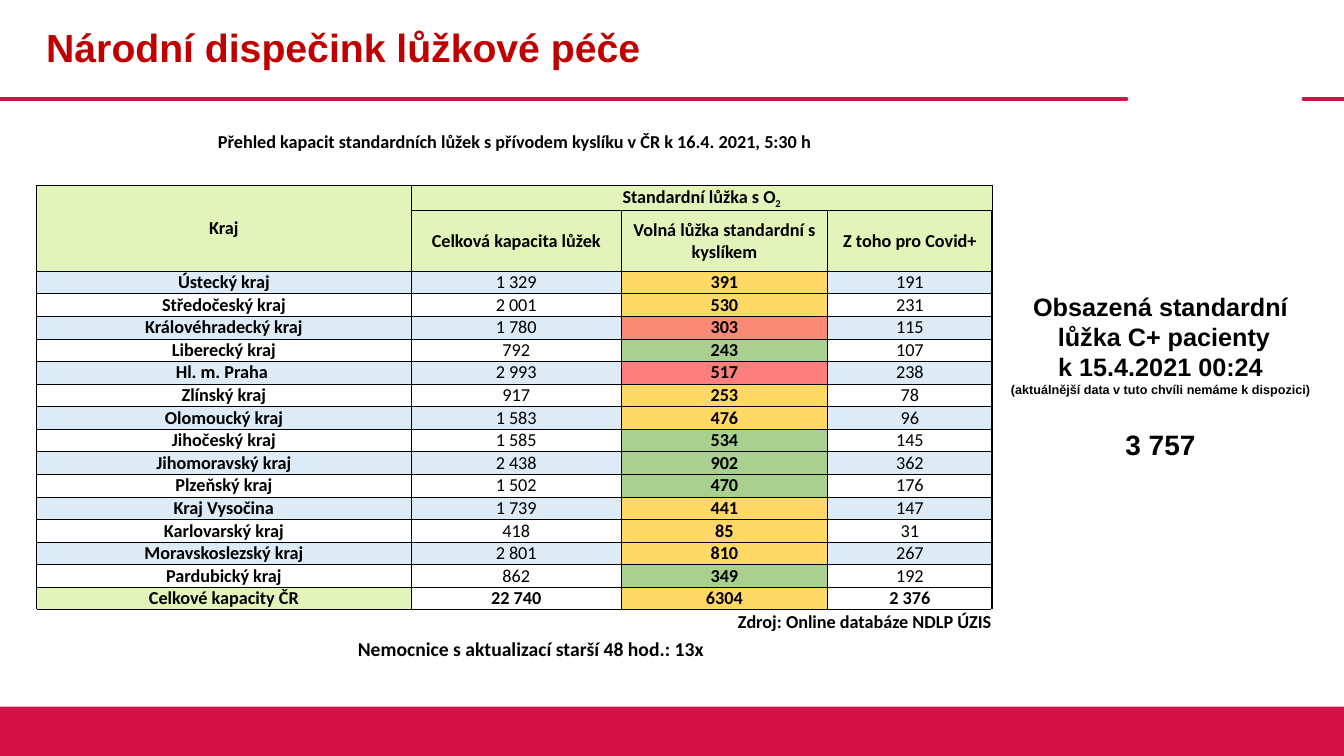
import dataclasses

import lxml.etree
import pptx
import pptx.dml.color
import pptx.enum.shapes
import pptx.enum.text
import pptx.oxml.ns
import pptx.util

Inches = pptx.util.Inches
Pt = pptx.util.Pt
qn = pptx.oxml.ns.qn
Align = pptx.enum.text.PP_ALIGN
Anchor = pptx.enum.text.MSO_ANCHOR


@dataclasses.dataclass(frozen=True)
class Theme:
    brand: str = "D31145"
    title: str = "C00000"
    ink: str = "000000"
    header: str = "E2F4BA"
    band: str = "DDEBF7"
    plain: str = "FFFFFF"
    yellow: str = "FFD966"
    green: str = "A9D08E"
    salmon: str = "FA8976"
    red: str = "FE7E7E"
    heading_font: str = "Arial"
    table_font: str = "Calibri"
    title_size: int = 28
    total_size: int = 20
    side_size: int = 18
    note_size: int = 14
    table_size: int = 13
    small_size: int = 9


theme = Theme()


def write(para, text, size=theme.table_size, font=theme.table_font, color=theme.ink,
          bold=True, align=Align.CENTER, subscript=False):
    para.alignment = align
    span = para.add_run()
    span.text = text
    span.font.size = Pt(size)
    span.font.name = font
    span.font.bold = bold
    span.font.color.rgb = pptx.dml.color.RGBColor.from_string(color)
    if subscript:
        span._r.get_or_add_rPr().set("baseline", "-25000")


def add_grid(left, top, widths, heights):
    grid = page.shapes.add_table(len(heights), len(widths), Inches(left), Inches(top),
                                 Inches(sum(widths)), Inches(sum(heights))).table
    grid.first_row = False
    grid.horz_banding = False
    for column, width in zip(grid.columns, widths):
        column.width = Inches(width)
    for row, height in zip(grid.rows, heights):
        row.height = Inches(height)
    for cell in grid.iter_cells():
        cell.margin_left = cell.margin_right = Inches(0.01)
        cell.margin_top = cell.margin_bottom = 0
        cell.vertical_anchor = Anchor.MIDDLE
    return grid


deck = pptx.Presentation()
deck.slide_width = Inches(13.33)
deck.slide_height = Inches(7.5)
page = deck.slides.add_slide(deck.slide_layouts[6])
brand_color = pptx.dml.color.RGBColor.from_string(theme.brand)

# Rule under the title, in two parts
for start, end in ((0, 11.17), (12.93, 13.33)):
    rule = page.shapes.add_connector(
        pptx.enum.shapes.MSO_CONNECTOR.STRAIGHT,
        Inches(start), Inches(0.98), Inches(end), Inches(0.98))
    rule.line.color.rgb = brand_color
    rule.line.width = Pt(3)
    properties = rule._element.spPr
    properties.find(qn("a:ln")).set("cap", "rnd")
    lxml.etree.SubElement(properties, qn("a:effectLst"))

# Footer band
footer = page.shapes.add_shape(
    pptx.enum.shapes.MSO_SHAPE.RECTANGLE, 0, Inches(7.01), Inches(13.33), Inches(0.49))
footer.shadow.inherit = False
footer.fill.solid()
footer.fill.fore_color.rgb = brand_color
footer.line.fill.background()

# Title
title = page.shapes.add_textbox(Inches(0.36), 0, Inches(10.81), Inches(0.98)).text_frame
title.word_wrap = True
title.vertical_anchor = Anchor.MIDDLE
title.paragraphs[0].line_spacing = 0.9
write(title.paragraphs[0], "Národní dispečink lůžkové péče", size=theme.title_size,
      font=theme.heading_font, color=theme.title, align=Align.LEFT)

# Blank table strip above the capacities
strip = add_grid(0.36, 1.11, [4.56, 1.36, 1.35, 1.1, 1.34], [0.28])
for cell in strip.iter_cells():
    cell.fill.background()
    lxml.etree.SubElement(cell.text_frame.paragraphs[0]._p, qn("a:endParaRPr"),
                          sz=str(theme.table_size * 100))

# Occupied beds on the right
occupied = page.shapes.add_textbox(
    Inches(9.77), Inches(2.84), Inches(3.48), Inches(1.8)).text_frame
occupied.word_wrap = True
occupied_lines = [
    ("Obsazená standardní", theme.side_size),
    (" lůžka C+ pacienty", theme.side_size),
    ("k 15.4.2021 00:24", theme.side_size),
    ("(aktuálnější data v tuto chvíli nemáme k dispozici)", theme.small_size),
    ("3 757", theme.total_size),
]
for index, (text, size) in enumerate(occupied_lines):
    para = occupied.add_paragraph() if index else occupied.paragraphs[0]
    write(para, text, size=size, font=theme.heading_font)
occupied.paragraphs[-1].space_before = Pt(22)

# Note below the table
note = page.shapes.add_textbox(Inches(3.45), Inches(6.27), Inches(4.22), Inches(0.36)).text_frame
note.word_wrap = True
write(note.paragraphs[0], "Nemocnice s aktualizací starší 48 hod.: 13x",
      size=theme.note_size, align=Align.LEFT)

# Bed capacities: region, total, free, for Covid+, colour of the free beds
regions = [
    ("Ústecký kraj", "1 329", "391", "191", theme.yellow),
    ("Středočeský kraj", "2 001", "530", "231", theme.yellow),
    ("Královéhradecký kraj", "1 780", "303", "115", theme.salmon),
    ("Liberecký kraj", "792", "243", "107", theme.green),
    ("Hl. m. Praha ", "2 993", "517", "238", theme.red),
    ("Zlínský kraj", "917", "253", "78", theme.yellow),
    ("Olomoucký kraj", "1 583", "476", "96", theme.yellow),
    ("Jihočeský kraj", "1 585", "534", "145", theme.green),
    ("Jihomoravský kraj", "2 438", "902", "362", theme.green),
    ("Plzeňský kraj", "1 502", "470", "176", theme.green),
    ("Kraj Vysočina", "1 739", "441", "147", theme.yellow),
    ("Karlovarský kraj", "418", "85", "31", theme.yellow),
    ("Moravskoslezský kraj", "2 801", "810", "267", theme.yellow),
    ("Pardubický kraj", "862", "349", "192", theme.green),
]
rows = [
    ("Přehled kapacit standardních lůžek s přívodem kyslíku v ČR k 16.4. 2021, 5:30 h", "", "", ""),
    ("", "", "", ""),
    ("Kraj", "Standardní lůžka s O", "", ""),
    ("", "Celková kapacita lůžek", "Volná lůžka standardní s kyslíkem", "Z toho pro Covid+"),
    *[region[:4] for region in regions],
    ("Celkové kapacity ČR", "22 740", "6304", "2 376"),
    ("Zdroj: Online databáze NDLP ÚZIS", "", "", ""),
]
first_region, total_row, source_row = 4, len(rows) - 2, len(rows) - 1
region_height = 3.14 / len(regions)
table = add_grid(0.36, 1.21, [3.72, 2.08, 2.05, 1.63],
                 [0.4, 0.23, 0.25, 0.6] + [region_height] * len(regions) + [0.22, 0.25])

for row, texts in enumerate(rows):
    for column, text in enumerate(texts):
        cell = table.cell(row, column)

        # Borders in points: heavy around blocks, thin between regions and figures
        edges = {}
        if row == 1:
            edges = {"a:lnB": 1}
        elif row == source_row:
            edges = {"a:lnT": 1}
        elif row > 1:
            edges = {
                "a:lnL": 1 if column <= 1 else 0.5,
                "a:lnR": 1 if column in (0, 3) else 0.5,
                "a:lnT": 1 if row <= first_region or row == total_row else 0.5,
                "a:lnB": 1 if row < first_region or row >= total_row - 1 else 0.5,
            }
        for edge, width in edges.items():
            border = lxml.etree.SubElement(
                cell._tc.get_or_add_tcPr(), qn(edge), w=str(Pt(width)))
            paint = lxml.etree.SubElement(border, qn("a:solidFill"))
            lxml.etree.SubElement(paint, qn("a:srgbClr"), val=theme.ink)

        # Fill
        fill = None
        if 2 <= row < first_region or (row == total_row and column == 0):
            fill = theme.header
        elif row == total_row and column == 2:
            fill = theme.yellow
        elif first_region <= row < total_row:
            index = row - first_region
            fill = regions[index][4] if column == 2 else (theme.band, theme.plain)[index % 2]
        if fill:
            cell.fill.solid()
            cell.fill.fore_color.rgb = pptx.dml.color.RGBColor.from_string(fill)
        else:
            cell.fill.background()

        # Text; empty cells get the table's type size so that rows stay low
        para = cell.text_frame.paragraphs[0]
        if text:
            figure = first_region <= row < total_row and column in (1, 3)
            write(para, text, bold=not figure,
                  align=Align.RIGHT if row == source_row else Align.CENTER)
        else:
            lxml.etree.SubElement(para._p, qn("a:endParaRPr"), sz=str(theme.table_size * 100))

write(table.cell(2, 1).text_frame.paragraphs[0], "2", subscript=True)

# Spans
for top, left, bottom, right in ((0, 0, 0, 3), (2, 0, 3, 0), (2, 1, 2, 3),
                                 (source_row, 0, source_row, 3)):
    table.cell(top, left).merge(table.cell(bottom, right))

deck.save("out.pptx")
